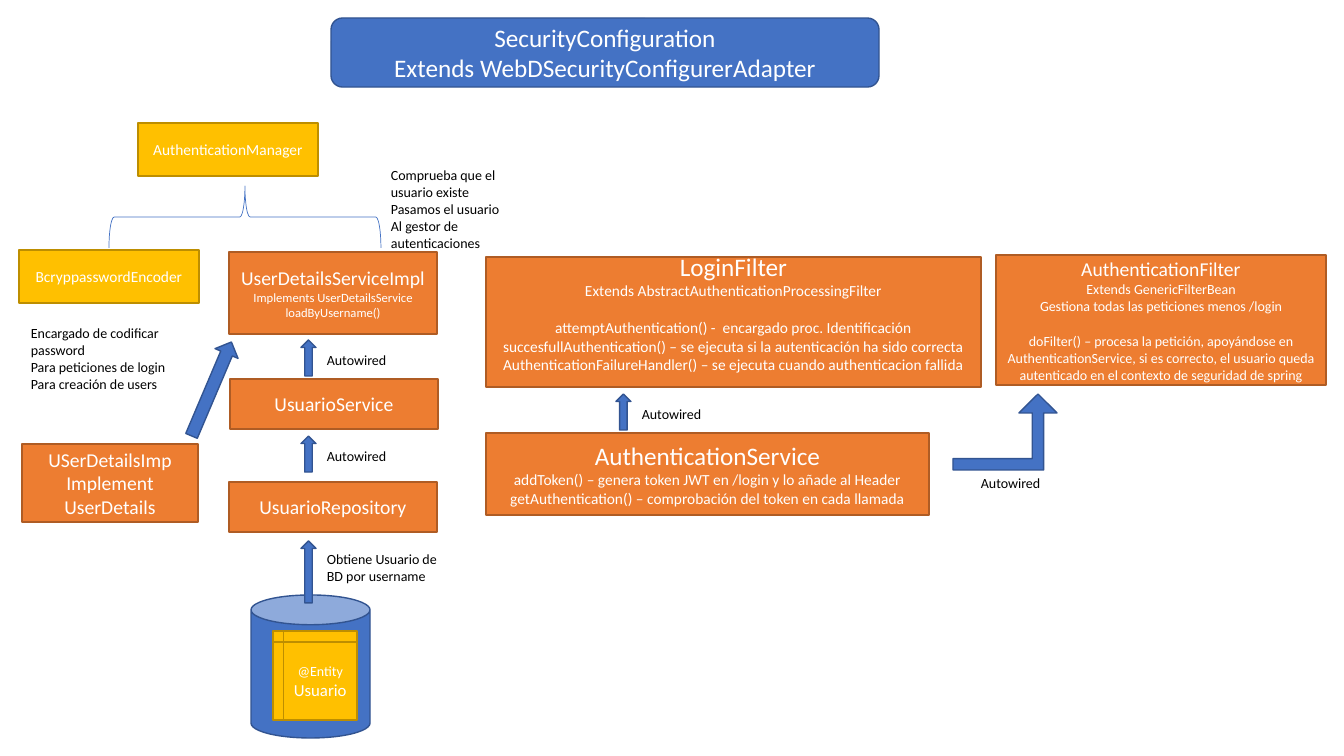
from dataclasses import dataclass

from pptx import Presentation
from pptx.dml.color import RGBColor
from pptx.enum.shapes import MSO_SHAPE as Preset
from pptx.enum.text import MSO_ANCHOR as Anchor, MSO_AUTO_SIZE as AutoSize, PP_ALIGN as Align
from pptx.util import Emu, Pt

BLUE, BLUE_EDGE = RGBColor(0x44, 0x72, 0xC4), RGBColor(0x32, 0x54, 0x91)
ORANGE, ORANGE_EDGE = RGBColor(0xED, 0x7D, 0x31), RGBColor(0xAF, 0x5C, 0x24)
GOLD, GOLD_EDGE = RGBColor(0xFF, 0xC0, 0x00), RGBColor(0xBD, 0x8E, 0x00)
WHITE, BLACK = RGBColor(0xFF, 0xFF, 0xFF), RGBColor(0x00, 0x00, 0x00)
EDGES = {BLUE: BLUE_EDGE, ORANGE: ORANGE_EDGE, GOLD: GOLD_EDGE}

FONT = "Calibri"
EMU_PER_PIXEL = 914400 / 100.8
SLIDE_SIZE = (1344, 756)
BLANK_LAYOUT = 6
BLANK_LINE = 13.4  # points, the height of one 11 pt line

FRAME_FORMAT = {"word_wrap": True, "vertical_anchor": Anchor.MIDDLE}
NOTE_FORMAT = {"word_wrap": True, "vertical_anchor": Anchor.TOP,
               "auto_size": AutoSize.SHAPE_TO_FIT_TEXT}


@dataclass(frozen=True)
class Line:
    text: str
    size: int
    before: float = 0


@dataclass(frozen=True)
class Block:
    at: tuple[int, int, int, int]
    color: RGBColor
    lines: tuple[Line, ...] = ()
    preset: Preset = Preset.RECTANGLE
    rotation: int = 0
    adjustments: tuple[float, ...] = ()
    bottom_inset: int = 5


@dataclass(frozen=True)
class Note:
    at: tuple[int, int, int, int]
    lines: tuple[str, ...]


def px(value: float) -> Emu:
    return Emu(round(value * EMU_PER_PIXEL))


def apply(target, values: dict) -> None:
    for name, value in values.items():
        setattr(target, name, value)


def write(frame, lines: tuple[Line, ...], color: RGBColor, align: Align) -> None:
    for index, line in enumerate(lines):
        paragraph = frame.paragraphs[0] if index == 0 else frame.add_paragraph()
        apply(paragraph, {"alignment": align, "space_before": Pt(line.before)})
        run = paragraph.add_run()
        run.text = line.text
        apply(run.font, {"name": FONT, "size": Pt(line.size)})
        run.font.color.rgb = color


def draw_block(slide, block: Block) -> None:
    shape = slide.shapes.add_shape(block.preset, *map(px, block.at))
    shape.shadow.inherit = False
    shape.rotation = block.rotation
    for index, value in enumerate(block.adjustments):
        shape.adjustments[index] = value
    shape.fill.solid()
    shape.fill.fore_color.rgb = block.color
    shape.line.color.rgb = EDGES[block.color]
    shape.line.width = Pt(1)
    apply(shape.text_frame, FRAME_FORMAT | {"margin_bottom": px(block.bottom_inset)})
    write(shape.text_frame, block.lines, WHITE, Align.CENTER)


def draw_note(slide, note: Note) -> None:
    box = slide.shapes.add_textbox(*map(px, note.at))
    apply(box.text_frame, NOTE_FORMAT)
    write(box.text_frame, tuple(Line(text, 10) for text in note.lines), BLACK, Align.LEFT)


def draw_brace(slide, at: tuple[int, int, int, int]) -> None:
    brace = slide.shapes.add_shape(Preset.RIGHT_BRACE, *map(px, at))
    brace.shadow.inherit = False
    brace.rotation = 270
    brace.fill.background()
    brace.line.color.rgb = BLUE
    brace.line.width = Pt(0.5)


def up_arrow(x: int, y: int, height: int = 36) -> Block:
    return Block((x, y, 15, height), BLUE, preset=Preset.UP_ARROW)


def autowired(x: int, y: int) -> Note:
    return Note((x, y, 145, 27), ("Autowired",))


WIRED_ARROWS = ((301, 340), (301, 436), (616, 394))

BLOCKS = (
    # Configuration header
    Block((331, 18, 548, 69), BLUE,
          (Line("SecurityConfiguration", 18),
           Line("Extends WebDSecurityConfigurerAdapter", 18)), Preset.ROUNDED_RECTANGLE),
    # Authentication manager and encoder
    Block((138, 123, 180, 53), GOLD, (Line("AuthenticationManager", 11),)),
    Block((19, 250, 180, 53), GOLD, (Line("BcryppasswordEncoder", 11),)),
    # User services
    Block((229, 252, 208, 82), ORANGE,
          (Line("UserDetailsServiceImpl", 14), Line("Implements UserDetailsService", 9),
           Line("loadByUsername()", 9))),
    Block((230, 379, 208, 50), ORANGE, (Line("UsuarioService", 14),)),
    Block((229, 482, 208, 50), ORANGE, (Line("UsuarioRepository", 14),)),
    Block((22, 444, 176, 78), ORANGE,
          (Line("USerDetailsImp", 14), Line("Implement UserDetails", 14))),
    # Database with its entity
    Block((251, 595, 119, 143), BLUE, preset=Preset.CAN),
    Block((273, 631, 84, 89), GOLD, (Line("@Entity", 10), Line("Usuario", 12)),
          Preset.FLOWCHART_INTERNAL_STORAGE),
    # Filters and authentication service
    Block((486, 257, 495, 130), ORANGE,
          (Line("LoginFilter", 18),
           Line("Extends AbstractAuthenticationProcessingFilter", 11),
           Line("attemptAuthentication() -  encargado proc. Identificación", 11, BLANK_LINE),
           Line("succesfullAuthentication() – se ejecuta si la autenticación ha sido correcta", 11),
           Line("AuthenticationFailureHandler() – se ejecuta cuando authenticacion fallida", 11)),
          bottom_inset=24),
    Block((486, 433, 443, 82), ORANGE,
          (Line("AuthenticationService", 18),
           Line("addToken() – genera token JWT en /login y lo añade al Header", 11),
           Line("getAuthentication() – comprobación del token en cada llamada", 11))),
    Block((996, 255, 330, 130), ORANGE,
          (Line("AuthenticationFilter", 14), Line("Extends GenericFilterBean", 10),
           Line("Gestiona todas las peticiones menos /login", 10),
           Line("doFilter() – procesa la petición, apoyándose en AuthenticationService, "
                "si es correcto, el usuario queda autenticado en el contexto de seguridad "
                "de spring", 10, BLANK_LINE))),
    # Arrows
    *(up_arrow(x, y) for x, y in WIRED_ARROWS),
    up_arrow(301, 541, 62),
    Block((953, 394, 104, 76), BLUE, preset=Preset.BENT_UP_ARROW,
          adjustments=(0.15, 0.25, 0.25)),
    Block((199, 338, 25, 102), BLUE, preset=Preset.UP_ARROW, rotation=23),
)

NOTES = (
    *(autowired(x + 16, y + 7) for x, y in WIRED_ARROWS),
    autowired(971, 470),
    Note((317, 546, 145, 44), ("Obtiene Usuario de BD por username",)),
    Note((381, 162, 145, 95), ("Comprueba que el usuario existe", "Pasamos el usuario",
                               "Al gestor de autenticaciones")),
    Note((21, 320, 177, 78), ("Encargado de codificar password",
                              "Para peticiones de login", "Para creación de users")),
)

presentation = Presentation()
presentation.slide_width, presentation.slide_height = map(px, SLIDE_SIZE)
slide = presentation.slides.add_slide(presentation.slide_layouts[BLANK_LAYOUT])

draw_brace(slide, (214, 81, 62, 272))
for block in BLOCKS:
    draw_block(slide, block)
for note in NOTES:
    draw_note(slide, note)

presentation.save("out.pptx")
